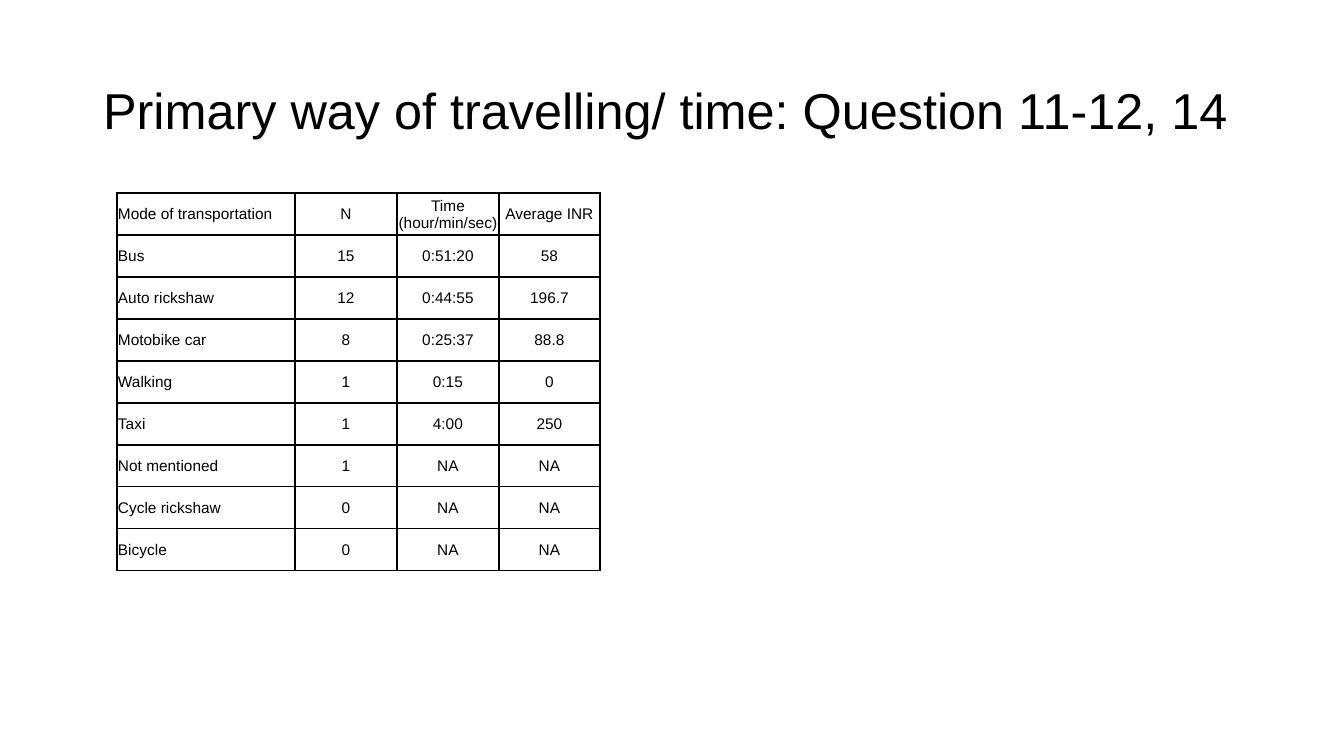
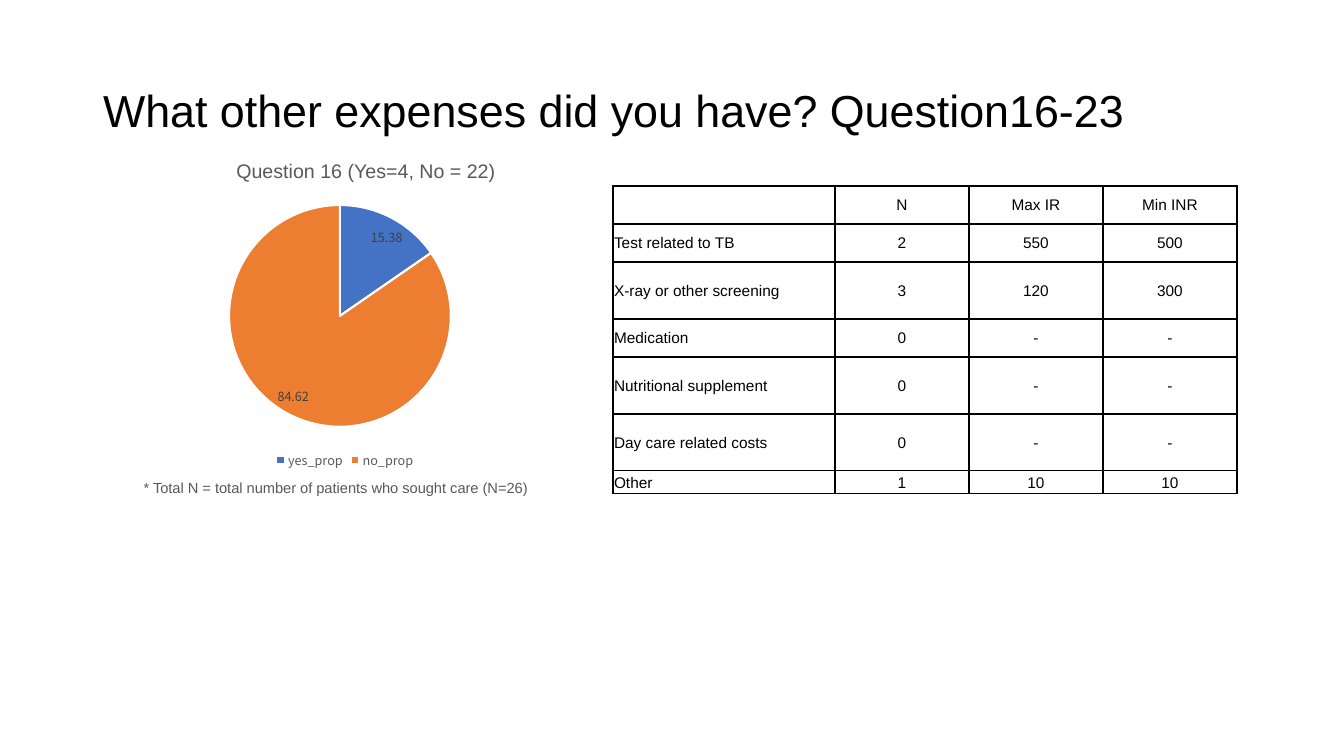
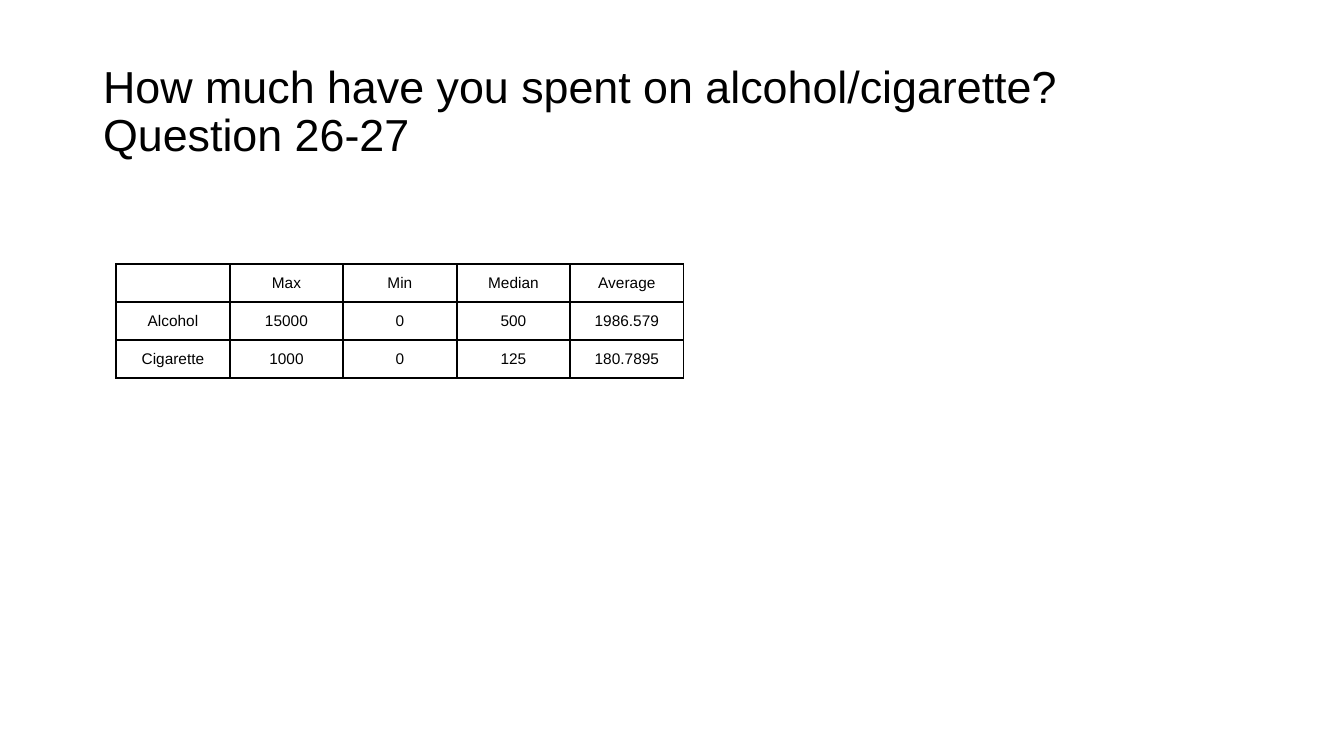
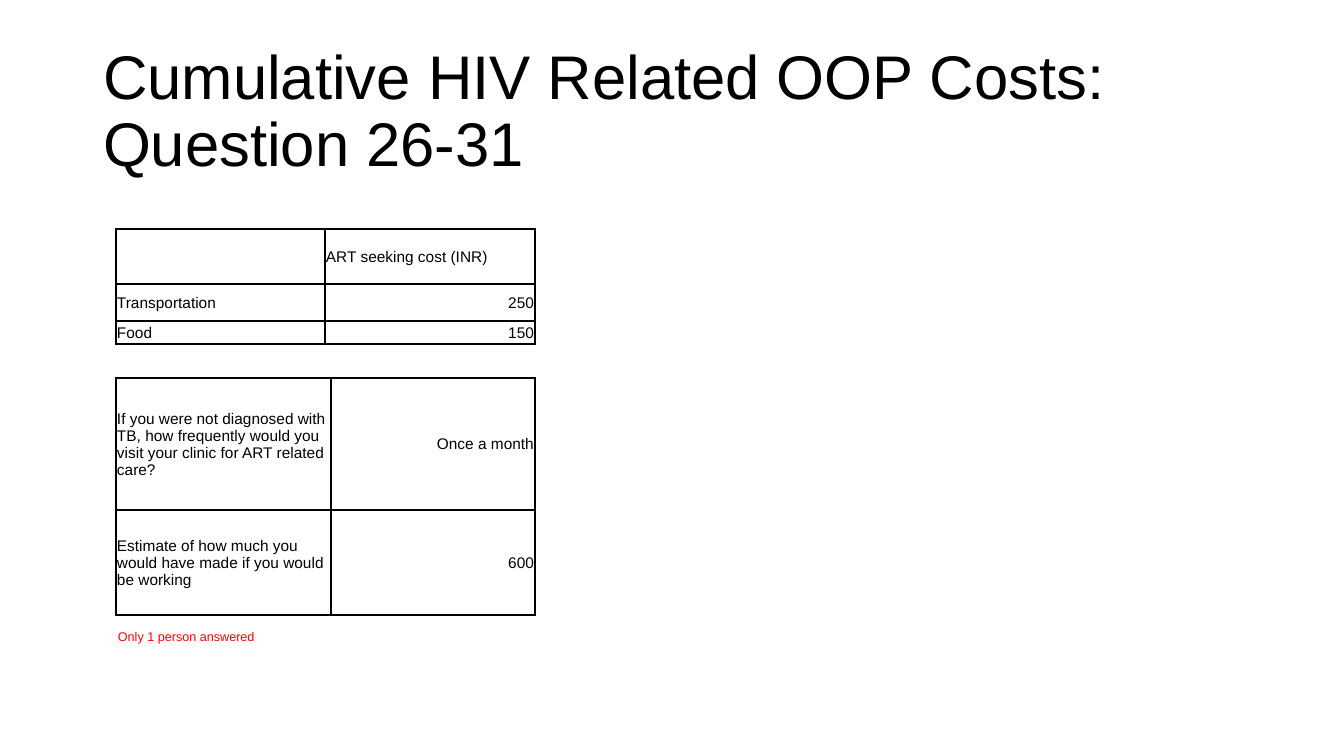
from lxml import etree
from pptx import Presentation
from pptx.chart.data import CategoryChartData
from pptx.dml.color import RGBColor
from pptx.enum import chart as charts, text
from pptx.oxml import ns
from pptx.util import Emu, Pt

BLACK = RGBColor(0x00, 0x00, 0x00)
WHITE = RGBColor(0xFF, 0xFF, 0xFF)
GRAY = RGBColor(0x59, 0x59, 0x59)
DARK_GRAY = RGBColor(0x40, 0x40, 0x40)
RED = RGBColor(0xFF, 0x00, 0x00)
BLUE = RGBColor(0x44, 0x72, 0xC4)
ORANGE = RGBColor(0xED, 0x7D, 0x31)
ALIGN = {"l": text.PP_ALIGN.LEFT, "c": text.PP_ALIGN.CENTER, "r": text.PP_ALIGN.RIGHT}


def px(value):
    return Emu(round(value * 914400 / 100.8))


class Deck:
    font = "Arial"
    chart_font = "Noto Sans CJK KR"
    cell_size = 11

    def __init__(self):
        self.prs = Presentation()
        self.prs.slide_width, self.prs.slide_height = px(1344), px(756)
        self.slide = None

    def style(self, font, size, color, name=None):
        font.name = name or self.font
        font.size = Pt(size)
        font.color.rgb = color

    def set_words(self, frame, content, size, color=BLACK, align="l"):
        frame.text = content
        for paragraph in frame.paragraphs:
            paragraph.alignment = ALIGN[align]
            for run in paragraph.runs:
                self.style(run.font, size, color)

    def start(self, heading, size):
        self.slide = self.prs.slides.add_slide(self.prs.slide_layouts[5])
        title = self.slide.shapes.title
        title.left, title.top, title.width, title.height = map(px, (93, 40, 1159, 146))
        frame = title.text_frame
        self.set_words(frame, heading, size)
        frame.auto_size = text.MSO_AUTO_SIZE.NONE
        frame.word_wrap = True
        frame.vertical_anchor = text.MSO_ANCHOR.MIDDLE
        frame.paragraphs[0].line_spacing = 0.9

    def note(self, content, box, size, color, align="l"):
        frame = self.slide.shapes.add_textbox(*map(px, box)).text_frame
        frame.word_wrap = True
        self.set_words(frame, content, size, color, align)

    def border(self, cell):
        properties = cell._tc.get_or_add_tcPr()
        for index, side in enumerate(("lnL", "lnR", "lnT", "lnB")):
            line = etree.Element(ns.qn("a:" + side), w=str(Pt(1)))
            fill = etree.SubElement(line, ns.qn("a:solidFill"))
            etree.SubElement(fill, ns.qn("a:srgbClr"), val=str(BLACK))
            properties.insert(index, line)

    def table(self, left, top, widths, heights, rows, aligns):
        box = map(px, (left, top, sum(widths), sum(heights)))
        grid = self.slide.shapes.add_table(len(rows), len(widths), *box).table
        grid.first_row = grid.horz_banding = False
        for column, width in zip(grid.columns, widths):
            column.width = px(width)
        for row, height, values in zip(grid.rows, heights, rows):
            row.height = px(height)
            for cell, value, align in zip(row.cells, values, aligns):
                cell.margin_left = cell.margin_right = cell.margin_top = px(1)
                cell.margin_bottom = 0
                cell.vertical_anchor = text.MSO_ANCHOR.MIDDLE
                cell.fill.background()
                self.border(cell)
                self.set_words(cell.text_frame, value, self.cell_size, align=align)
        return grid

    def pie(self, box, shares, colors, layout):
        data = CategoryChartData(number_format="0.00")
        data.categories = list(shares)
        data.add_series("Series 1", list(shares.values()))
        chart = self.slide.shapes.add_chart(
            charts.XL_CHART_TYPE.PIE, *map(px, box), data).chart
        self.style(chart.font, 10, BLACK, self.chart_font)
        chart.has_title = False
        chart.has_legend = True
        chart.legend.position = charts.XL_LEGEND_POSITION.BOTTOM
        chart.legend.include_in_layout = False
        self.style(chart.legend.font, 9, GRAY, self.chart_font)
        plot = chart.plots[0]
        plot.vary_by_categories = True
        for index, color in enumerate(colors):
            look = plot.series[0].points[index].format
            look.fill.solid()
            look.fill.fore_color.rgb = color
            look.line.color.rgb = WHITE
            look.line.width = Pt(1.5)
        labels = plot.series[0].data_labels
        labels.show_value = True
        labels.number_format = "0.00"
        labels.number_format_is_linked = False
        labels.position = charts.XL_LABEL_POSITION.BEST_FIT
        self.style(labels.font, 9, DARK_GRAY, self.chart_font)
        area = chart._chartSpace.chart.plotArea
        for old in area.findall(ns.qn("c:layout")):
            area.remove(old)
        frame = etree.Element(ns.qn("c:layout"))
        manual = etree.SubElement(frame, ns.qn("c:manualLayout"))
        settings = {"layoutTarget": "inner", "xMode": "edge", "yMode": "edge", **layout}
        for key, value in settings.items():
            etree.SubElement(manual, ns.qn("c:" + key), val=str(value))
        area.insert(0, frame)


deck = Deck()

deck.start("Primary way of travelling/ time: Question 11-12, 14", 36)
travel = [
    ("Mode of transportation", "N", "Time (hour/min/sec)", "Average INR"),
    ("Bus", "15", "0:51:20", "58"),
    ("Auto rickshaw", "12", "0:44:55", "196.7"),
    ("Motobike car", "8", "0:25:37", "88.8"),
    ("Walking", "1", "0:15", "0"),
    ("Taxi", "1", "4:00", "250"),
    ("Not mentioned", "1", "NA", "NA"),
    ("Cycle rickshaw", "0", "NA", "NA"),
    ("Bicycle", "0", "NA", "NA"),
]
deck.table(117, 193, [178, 102, 102, 101], [42] * len(travel), travel, "lccc")

deck.start("What other expenses did you have? Question16-23", 32)
expenses = [
    ("", "N", "Max IR", "Min INR"),
    ("Test related to TB", "2", "550", "500"),
    ("X-ray or other screening", "3", "120", "300"),
    ("Medication", "0", "-", "-"),
    ("Nutritional supplement", "0", "-", "-"),
    ("Day care related costs", "0", "-", "-"),
    ("Other", "1", "10", "10"),
]
deck.table(613, 186, [222, 134, 134, 134], [38, 38, 57, 38, 57, 57, 23], expenses, "lccc")
deck.pie((93, 171, 504, 302), {"yes_prop": 15.38, "no_prop": 84.62}, (BLUE, ORANGE),
         {"x": 0.27, "y": 0.11, "w": 0.44, "h": 0.74})
deck.note("Question 16 (Yes=4, No = 22)", (30, 154, 672, 34), 14, GRAY, "c")
deck.note("* Total N = total number of patients who sought care (N=26)",
          (0, 474, 672, 29), 10.5, GRAY, "c")

deck.start("How much have you spent on alcohol/cigarette? Question 26-27", 32)
spending = [
    ("", "Max", "Min", "Median", "Average"),
    ("Alcohol", "15000", "0", "500", "1986.579"),
    ("Cigarette", "1000", "0", "125", "180.7895"),
]
deck.table(116, 264, [114, 113, 114, 113, 114], [38] * len(spending), spending, "ccccc")

deck.start("Cumulative HIV Related OOP Costs: Question 26-31", 44)
costs = [
    ("", "ART seeking cost (INR)"),
    ("Transportation", "250"),
    ("Food", "150"),
]
cost_grid = deck.table(116, 229, [209, 210], [55, 37, 23], costs, "lr")
cost_grid.cell(0, 1).text_frame.paragraphs[0].alignment = ALIGN["l"]
visits = [
    ("If you were not diagnosed with TB, how frequently would you visit your clinic "
     "for ART related care?", "Once a month"),
    ("Estimate of how much you\nwould have made if you would be working", "600"),
]
deck.table(116, 378, [215, 204], [132, 105], visits, "lr")
deck.note("Only 1 person answered", (108, 624, 298, 25), 9, RED)

deck.prs.save("out.pptx")
